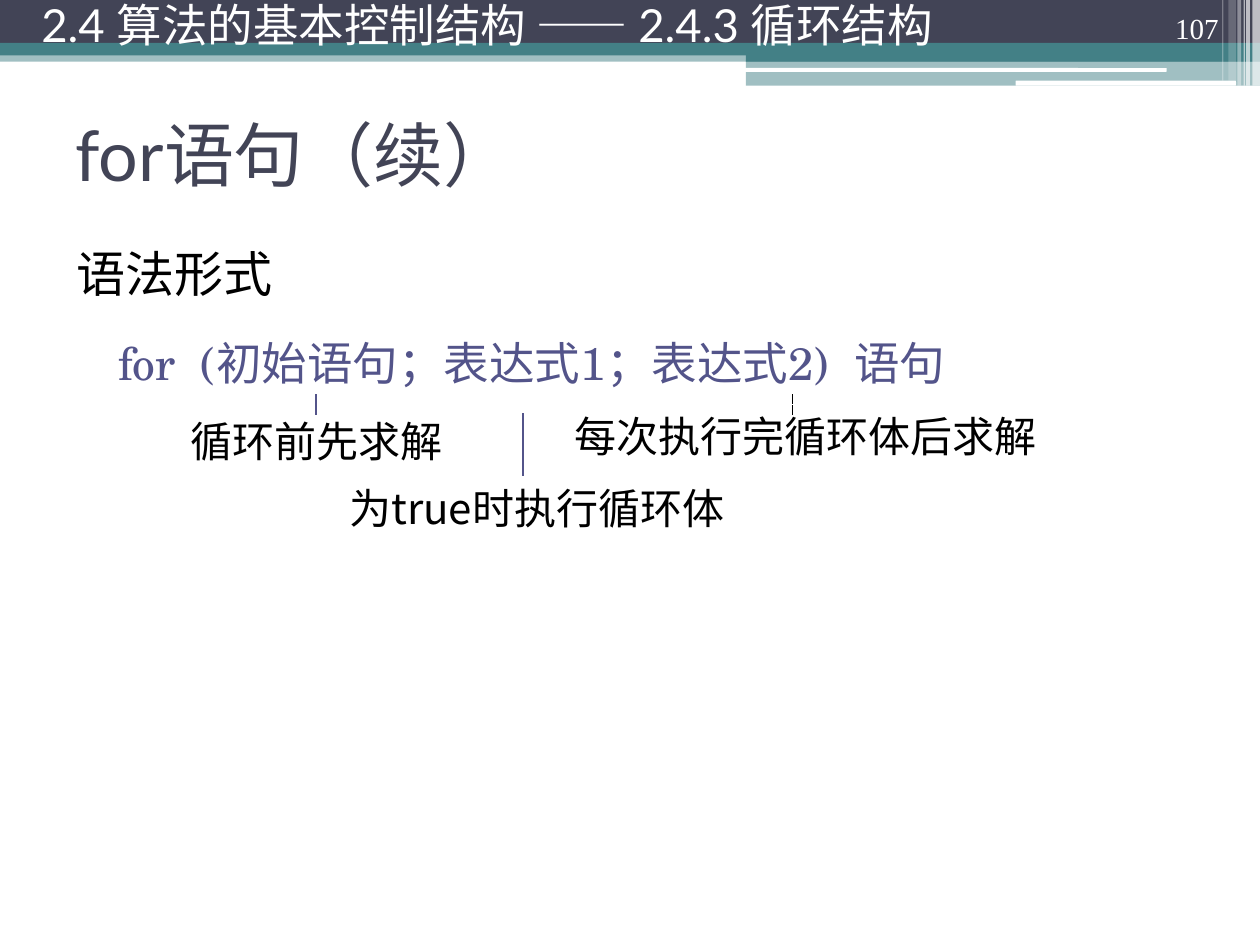
from lxml import etree
from pptx import Presentation
from pptx.dml.color import RGBColor
from pptx.enum import shapes, text
from pptx.oxml.ns import qn
from pptx.util import Inches, Pt

NAVY = RGBColor(0x42, 0x44, 0x56)
TEAL = RGBColor(0x43, 0x80, 0x86)
INDIGO = RGBColor(0x53, 0x54, 0x8A)
WHITE = RGBColor(0xFF, 0xFF, 0xFF)
BLACK = RGBColor(0, 0, 0)
CJK = "Noto Sans CJK SC"
RECT, ROUND = shapes.MSO_SHAPE.RECTANGLE, shapes.MSO_SHAPE.ROUNDED_RECTANGLE
MIDDLE = text.MSO_ANCHOR.MIDDLE
LEFT, CENTER, RIGHT = text.PP_ALIGN.LEFT, text.PP_ALIGN.CENTER, text.PP_ALIGN.RIGHT

# left, top, width, height, colour, opacity in percent, preset
BANDS = [
    (0, 0.4, 10, 0.09, TEAL, 50, RECT),
    (0, 0, 10, 0.34, NAVY, 100, RECT),
    (0, 0.34, 10, 0.1, TEAL, 100, RECT),
    (5.92, 0.39, 4.08, 0.1, TEAL, 100, RECT),
    (5.92, 0.48, 4.08, 0.2, TEAL, 50, RECT),
    (5.91, 0.54, 3.35, 0.03, WHITE, 100, ROUND),
    (8.06, 0.64, 1.75, 0.04, WHITE, 100, ROUND),
]
# left, width, height, opacity in percent
STRIPES = [
    (9.94, 0.06, 0.68, 65), (9.89, 0.03, 0.68, 65), (9.87, 0.01, 0.68, 60),
    (9.82, 0.03, 0.68, 40), (9.75, 0.06, 0.64, 20), (9.7, 0.01, 0.64, 30),
]
# wording, box, line x, line top, line bottom, line colour, outline
CALLOUTS = [
    ("循环前先求解", (1.41, 3.25, 2.2, 0.5), 2.51, 3.13, 3.29, INDIGO, None),
    ("为true时执行循环体", (2.59, 3.78, 3.34, 0.5), 4.15, 3.28, 3.78, INDIGO, None),
    ("每次执行完循环体后求解", (4.46, 3.21, 3.86, 0.5), 6.29, 3.13, 3.29, BLACK, WHITE),
]


def set_all(obj, formats):
    for name, value in formats.items():
        setattr(obj, name, value)


def write(p, wording, size, font, colour, **formats):
    """Fill a paragraph with one run in the given style."""
    set_all(p, formats)
    r = p.add_run()
    r.text = wording
    set_all(r.font, {"size": Pt(size), "name": font})
    r.font.color.rgb = colour
    ea = etree.SubElement(r.font._element, qn("a:ea"))
    ea.set("typeface", CJK)


def band(s, left, top, width, height, colour, opacity, preset):
    sp = s.shapes.add_shape(preset, *map(Inches, (left, top, width, height)))
    sp.shadow.inherit = False
    sp.fill.solid()
    sp.fill.fore_color.rgb = colour
    sp.line.fill.background()
    if opacity < 100:
        clr = sp.element.spPr.find(".//" + qn("a:srgbClr"))
        etree.SubElement(clr, qn("a:alpha")).set("val", str(opacity * 1000))


def text_box(parent, box, anchor=MIDDLE, **formats):
    sp = parent.shapes.add_textbox(*map(Inches, box))
    set_all(sp.text_frame, {"word_wrap": True, "vertical_anchor": anchor, **formats})
    return sp


def place(s, sp, box, anchor):
    """Move a placeholder, and bring it in front of the bands."""
    set_all(sp, dict(zip(("left", "top", "width", "height"), map(Inches, box))))
    set_all(sp.text_frame, {"vertical_anchor": anchor, "word_wrap": True,
                            "auto_size": text.MSO_AUTO_SIZE.NONE})
    s.shapes.element.append(sp.element)
    return sp.text_frame


def list_item(p, wording, size, font, colour, margin, indent, **formats):
    pPr = p._p.get_or_add_pPr()
    pPr.set("marL", str(Inches(margin)))
    pPr.set("indent", str(Inches(indent)))
    etree.SubElement(pPr, qn("a:buNone"))
    write(p, wording, size, font, colour, **formats)


def callout(s, wording, box, x, top, bottom, colour, outline):
    """A vertical line from the syntax down to its explanation."""
    group = s.shapes.add_group_shape()
    line = group.shapes.add_connector(shapes.MSO_CONNECTOR.STRAIGHT,
                                      *map(Inches, (x, top, x, bottom)))
    line.line.color.rgb = colour
    line.line.width = Pt(1)
    etree.SubElement(line._element.spPr, qn("a:effectLst"))
    # No side margins, so that the longest wording stays on one line
    sp = text_box(group, box, word_wrap=False, margin_left=0, margin_right=0)
    if outline is not None:
        sp.line.color.rgb = outline
        sp.line.width = Pt(1)
    write(sp.text_frame.paragraphs[0], wording, 24, CJK, BLACK, alignment=CENTER)


def main():
    prs = Presentation()
    prs.slide_width, prs.slide_height = Inches(10), Inches(7.5)
    s = prs.slides.add_slide(prs.slide_layouts[1])

    # Header bands and the stripes at the right edge
    for item in BANDS:
        band(s, *item)
    for left, width, height, opacity in STRIPES:
        band(s, left, 0, width, height, WHITE, opacity, RECT)

    # Title
    tf = place(s, s.shapes.title, (0.5, 0.63, 9, 1.17), MIDDLE)
    write(tf.paragraphs[0], "for语句（续）", 40, "Lato", NAVY, alignment=LEFT)

    # Page number and section heading
    sp = text_box(s, (8.94, 0.01, 0.83, 0.4), text.MSO_ANCHOR.BOTTOM)
    write(sp.text_frame.paragraphs[0], "107", 16.6, "Times New Roman", WHITE,
          alignment=RIGHT, line_spacing=0.9)
    sp = text_box(s, (0.23, 0, 8.83, 0.47))
    write(sp.text_frame.paragraphs[0], "2.4 算法的基本控制结构 —— 2.4.3 循环结构",
          26, "Lato", WHITE, line_spacing=0.8)

    # Syntax of the statement
    tf = place(s, s.placeholders[1], (0.39, 1.88, 8.5, 4.42), text.MSO_ANCHOR.TOP)
    list_item(tf.paragraphs[0], "语法形式", 28, CJK, BLACK, 0.4, -0.28,
              space_before=Pt(0))
    list_item(tf.add_paragraph(), "for  (初始语句；表达式1；表达式2)  语句", 26,
              "TeX Gyre Schola", INDIGO, 0.72, -0.27,
              level=1, line_spacing=1.5, space_before=Pt(3))

    # Explanations of its parts
    for item in CALLOUTS:
        callout(s, *item)

    prs.save("out.pptx")


if __name__ == "__main__":
    main()
